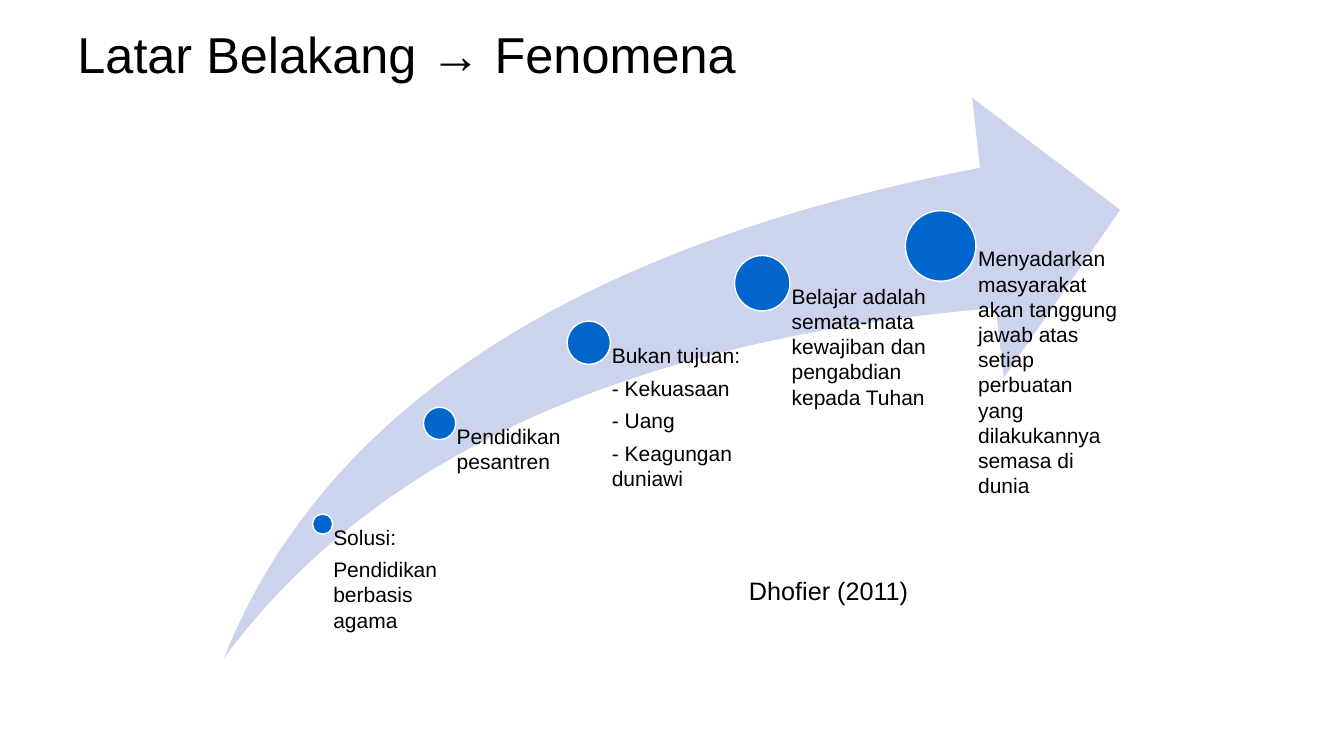
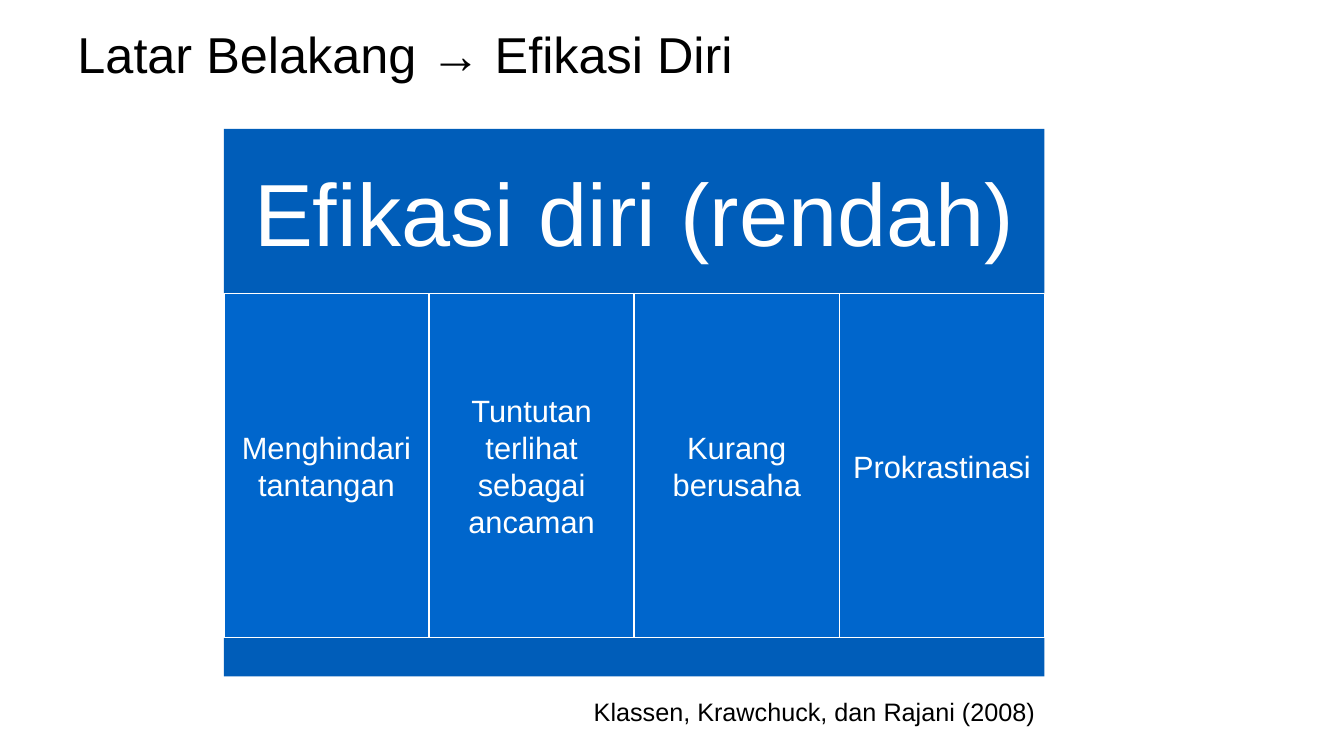
"""Build two background slides: a rising arrow of steps and a panel of four effects."""
from pptx import Presentation
from pptx.dml.color import RGBColor
from pptx.enum.shapes import MSO_SHAPE
from pptx.enum.text import MSO_ANCHOR, PP_ALIGN
from pptx.util import Inches, Pt

BLACK = RGBColor(0, 0, 0)
WHITE = RGBColor(255, 255, 255)
BLUE = RGBColor(0x00, 0x66, 0xCC)
DARK = RGBColor(0x00, 0x5D, 0xB9)
PALE = RGBColor(0xCC, 0xD3, 0xEC)

TITLES = ["Latar Belakang → Fenomena", "Latar Belakang → Efikasi Diri"]
CITES = [
    ("Dhofier (2011)", (7.33, 5.66, 1.78, 0.4)),
    ("Klassen, Krawchuck, dan Rajani (2008)", (5.79, 6.86, 4.58, 0.4)),
]
STEPS = [
    (3.2, 5.2, 0.2, 1.16, ["Solusi:", "Pendidikan berbasis agama"]),
    (4.36, 4.2, 0.32, 1.48, ["Pendidikan pesantren"]),
    (5.84, 3.4, 0.43, 1.72,
     ["Bukan tujuan:", "- Kekuasaan", "- Uang", "- Keagungan duniawi"]),
    (7.56, 2.81, 0.55, 1.78,
     ["Belajar adalah semata-mata kewajiban dan pengabdian kepada Tuhan"]),
    (9.33, 2.44, 0.7, 1.78,
     ["Menyadarkan masyarakat akan tanggung jawab atas setiap perbuatan "
      "yang dilakukannya semasa di dunia"]),
]
HEAD = "Efikasi diri (rendah)"
EFFECTS = ["Menghindari tantangan", "Tuntutan terlihat sebagai ancaman",
           "Kurang berusaha", "Prokrastinasi"]

LEFT, BASE = 2.22, 6.53
WIDE = 8.14
TOP, MID, LOW, END = 1.28, 2.91, 6.33, 6.71
SIDES = ("margin_left", "margin_top", "margin_right", "margin_bottom")
INSET = (0.1, 0.05, 0.1, 0.05)


def write(shape, paras, size, color=BLACK, inset=INSET, wrap=True,
          anchor=MSO_ANCHOR.TOP, align=PP_ALIGN.LEFT, after=0):
    frame = shape.text_frame
    form = {"word_wrap": wrap, "vertical_anchor": anchor}
    form.update((side, Inches(gap)) for side, gap in zip(SIDES, inset))
    for name, value in form.items():
        setattr(frame, name, value)
    frame.text = "\n".join(paras)
    for para in frame.paragraphs:
        para.alignment = align
        para.space_after = Pt(after)
        para.font.color.rgb = color
        for name, value in {"name": "Arial", "size": Pt(size)}.items():
            setattr(para.font, name, value)


def label(slide, box, paras, size, **form):
    write(slide.shapes.add_textbox(*map(Inches, box)), paras, size, **form)


def draw(slide, kind, box, fill, edge=None):
    shape = slide.shapes.add_shape(kind, *map(Inches, box))
    shape.shadow.inherit = False
    shape.fill.solid()
    shape.fill.fore_color.rgb = fill
    if edge is None:
        shape.line.fill.background()
    else:
        shape.line.color.rgb = edge
        shape.line.width = Pt(1)
    return shape


def start(deck, title):
    slide = deck.slides.add_slide(deck.slide_layouts[6])
    label(slide, (0.67, 0.21, 12, 0.64), [title], 36, anchor=MSO_ANCHOR.MIDDLE)
    return slide


def rise(slide):
    arrow = draw(slide, MSO_SHAPE.SWOOSH_ARROW, (LEFT, 0.97, 8.89, 5.56), PALE)
    for spot in range(2):
        arrow.adjustments[spot] = 0.25
    for x, y, size, width, paras in STEPS:
        half = size / 2
        draw(slide, MSO_SHAPE.OVAL, (x - half, y - half, size, size), BLUE, WHITE)
        label(slide, (x, y, width, BASE - y), paras, 15,
              inset=(size * 0.53, 0, 0, 0), after=5.25)


def panel(slide):
    style = {"color": WHITE, "anchor": MSO_ANCHOR.MIDDLE, "align": PP_ALIGN.CENTER}
    head = draw(slide, MSO_SHAPE.RECTANGLE, (LEFT, TOP, WIDE, MID - TOP), DARK)
    write(head, [HEAD], 63, inset=(0.26,) * 4, **style)
    width = WIDE / len(EFFECTS)
    for col, text in enumerate(EFFECTS):
        box = (LEFT + col * width, MID, width, LOW - MID)
        cell = draw(slide, MSO_SHAPE.RECTANGLE, box, BLUE, WHITE)
        write(cell, [text], 22, inset=(0.09,) * 4, **style)
    draw(slide, MSO_SHAPE.RECTANGLE, (LEFT, LOW, WIDE, END - LOW), DARK)


def main():
    deck = Presentation()
    deck.slide_width, deck.slide_height = Inches(13.33), Inches(7.5)
    for title, (cite, box), body in zip(TITLES, CITES, (rise, panel)):
        slide = start(deck, title)
        body(slide)
        label(slide, box, [cite], 18, wrap=False)
    deck.save("out.pptx")


if __name__ == "__main__":
    main()
